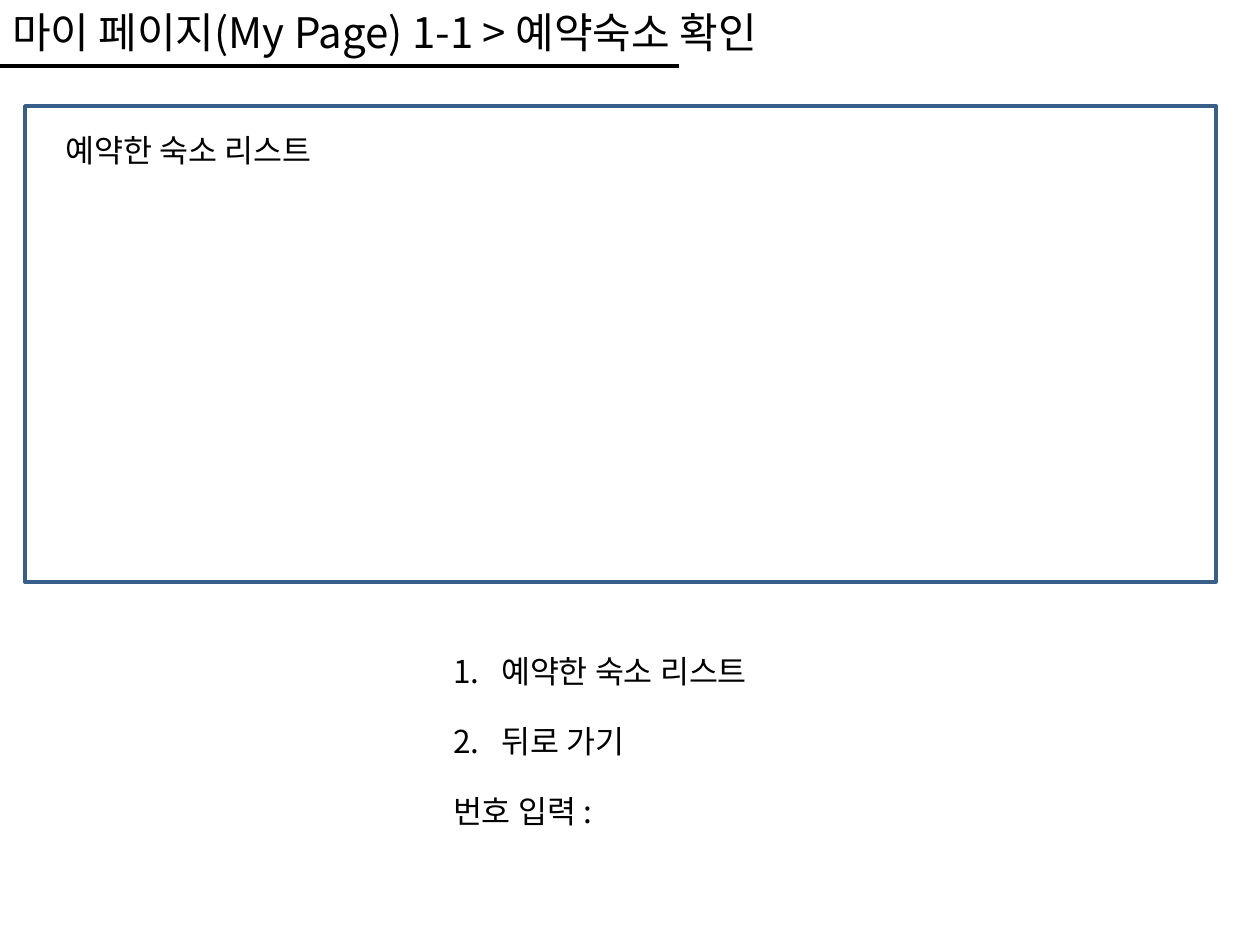
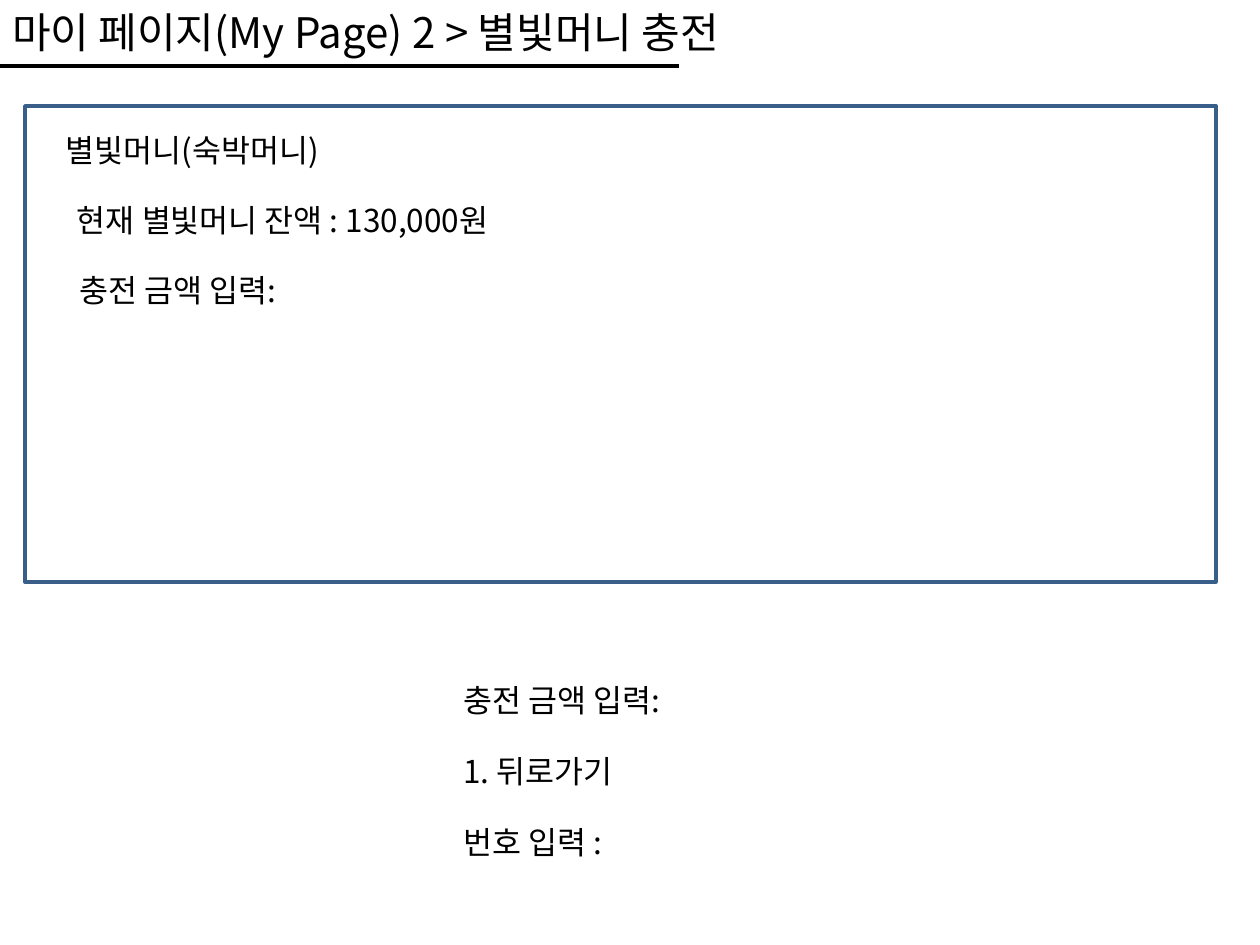
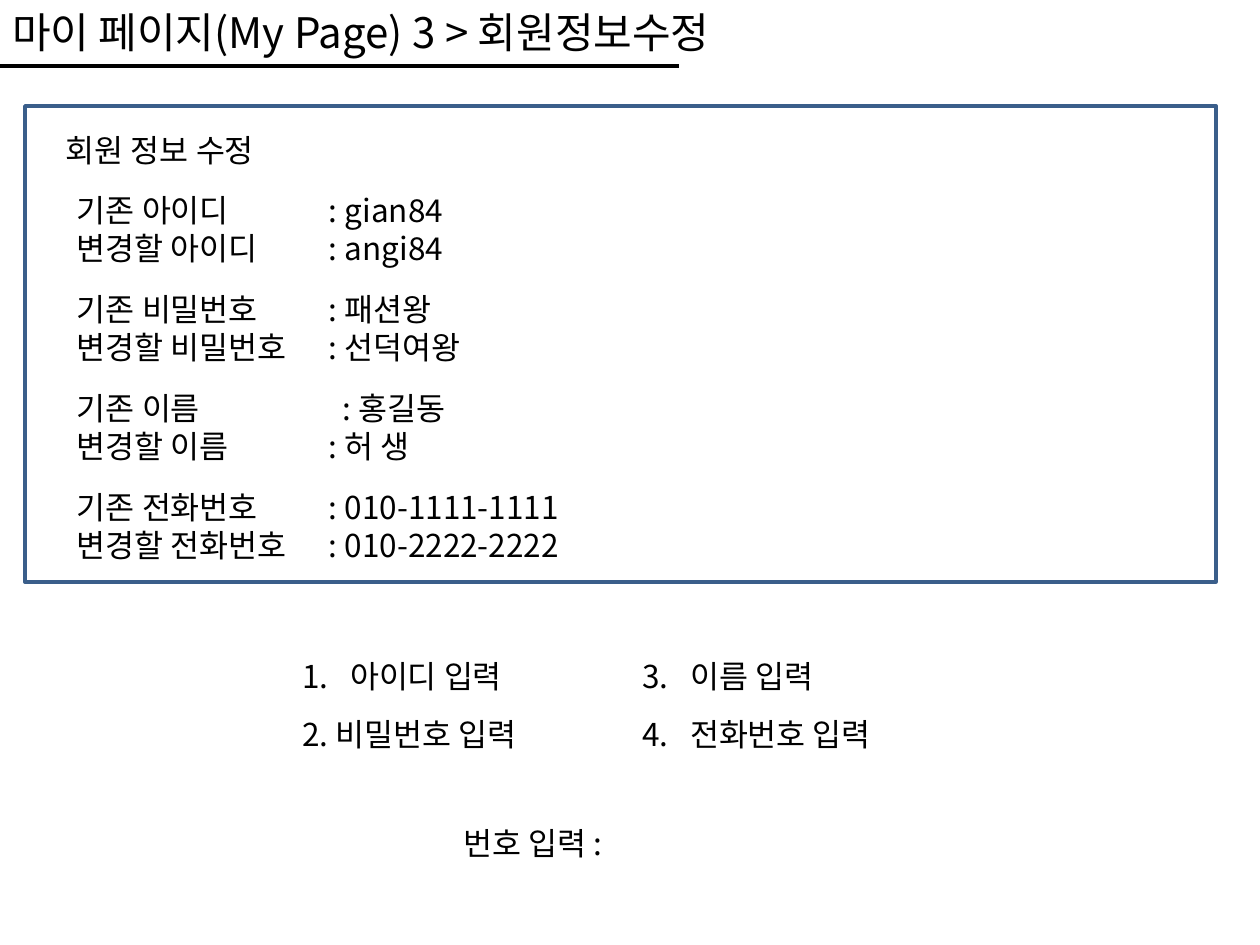
from lxml.etree import SubElement
from pptx import Presentation
from pptx.dml.color import RGBColor
from pptx.enum.shapes import MSO_CONNECTOR, MSO_SHAPE
from pptx.enum.text import MSO_ANCHOR, MSO_AUTO_SIZE, PP_ALIGN
from pptx.oxml.ns import qn
from pptx.util import Emu, Inches, Pt

BLACK = RGBColor(0x00, 0x00, 0x00)
FRAME_BLUE = RGBColor(0x3A, 0x5E, 0x8A)
FONT = "Noto Sans CJK KR"
TITLE_SIZE, BODY_SIZE = 24, 18
PX_PER_INCH = 126
INSET = 6
LINE_HEIGHT = 53
PAIR_HEIGHT = 95
HEADING_WIDTH, DETAIL_WIDTH, MENU_WIDTH = 464, 940, 344
NUMBER_INDENT = 48
DETAIL_LEFT = 71
VALUE_TAB = 252
TITLE_ONLY = 5


def px(length):
    return Emu(round(length * Inches(1) / PX_PER_INCH))


class PageBuilder:
    """Holds the shared style and the slide being built."""

    def __init__(self, presentation):
        self.presentation = presentation
        self.slide = None

    def start_page(self, title, heading):
        """Add a slide with its title, rule, frame and frame heading."""
        layout = self.presentation.slide_layouts[TITLE_ONLY]
        self.slide = self.presentation.slides.add_slide(layout)
        self.frame(25, 106, 1191, 476)
        self.rule(0, 66, 679)
        self.title(title)
        self.text(heading, 60, 125, HEADING_WIDTH)

    def frame(self, left, top, width, height):
        shape = self.slide.shapes.add_shape(
            MSO_SHAPE.RECTANGLE, px(left), px(top), px(width), px(height))
        shape.shadow.inherit = False
        shape.fill.background()
        shape.line.color.rgb = FRAME_BLUE
        shape.line.width = Pt(2)

    def rule(self, left, top, width):
        connector = self.slide.shapes.add_connector(
            MSO_CONNECTOR.STRAIGHT, px(left), px(top), px(left + width), px(top))
        connector.line.color.rgb = BLACK
        connector.line.width = Pt(1.75)
        SubElement(connector.element.spPr, qn("a:effectLst"))

    def title(self, text):
        shape = self.slide.shapes.title
        shape.left, shape.top, shape.width, shape.height = map(px, (6, 0, 994, 67))
        self.fill_text(shape.text_frame, [text], TITLE_SIZE)

    def text(self, text, left, top, width, height=LINE_HEIGHT):
        """Add a text box with one paragraph per line and return its paragraphs."""
        shape = self.slide.shapes.add_textbox(px(left), px(top), px(width), px(height))
        return self.fill_text(shape.text_frame, text.split("\n"), BODY_SIZE)

    def fill_text(self, frame, lines, size):
        frame_format = {
            "word_wrap": True,
            "auto_size": MSO_AUTO_SIZE.SHAPE_TO_FIT_TEXT,
            "vertical_anchor": MSO_ANCHOR.TOP,
            **{f"margin_{side}": px(INSET) for side in ("left", "top", "right", "bottom")},
        }
        for name, value in frame_format.items():
            setattr(frame, name, value)
        for index, line in enumerate(lines):
            paragraph = frame.add_paragraph() if index else frame.paragraphs[0]
            paragraph.alignment = PP_ALIGN.LEFT
            run = paragraph.add_run()
            run.text = line
            run.font.color.rgb = BLACK
            for name, value in {"name": FONT, "size": Pt(size)}.items():
                setattr(run.font, name, value)
            SubElement(run.font._element, qn("a:ea"), typeface=FONT)
        return frame.paragraphs

    def numbered(self, number, text, left, top):
        """Add a menu line with an automatic number and a hanging indent."""
        properties = self.text(text, left, top, MENU_WIDTH)[0]._p.get_or_add_pPr()
        indent = px(NUMBER_INDENT)
        properties.set("marL", str(indent))
        properties.set("indent", str(-indent))
        SubElement(properties, qn("a:buAutoNum"), type="arabicPeriod", startAt=str(number))

    def field_pair(self, field, old, new, top, old_tab=VALUE_TAB):
        """Add the present and the new value of a member field."""
        lines = f"기존 {field}\t: {old}\n변경할 {field}\t: {new}"
        paragraphs = self.text(lines, DETAIL_LEFT, top, DETAIL_WIDTH, PAIR_HEIGHT)
        for paragraph, tab in zip(paragraphs, (old_tab, VALUE_TAB)):
            tabs = SubElement(paragraph._p.get_or_add_pPr(), qn("a:tabLst"))
            SubElement(tabs, qn("a:tab"), pos=str(px(tab)), algn="l")


def add_booking_page(page):
    page.start_page("마이 페이지(My Page) 1-1 > 예약숙소 확인", "예약한 숙소 리스트")
    left, top, pitch = 447, 646, 70
    choices = ("예약한 숙소 리스트", "뒤로 가기")
    for index, choice in enumerate(choices):
        page.numbered(index + 1, choice, left, top + index * pitch)
    page.text("번호 입력 :", left, top + len(choices) * pitch, MENU_WIDTH)


def add_charge_page(page):
    page.start_page("마이 페이지(My Page) 2 > 별빛머니 충전", "별빛머니(숙박머니)")
    page.text("현재 별빛머니 잔액 : 130,000원", DETAIL_LEFT, 195, DETAIL_WIDTH)
    page.text("충전 금액 입력:", 73, 265, MENU_WIDTH)
    for index, line in enumerate(("충전 금액 입력:", "1. 뒤로가기", "번호 입력 :")):
        page.text(line, 457, 675 + index * 71, MENU_WIDTH)


def add_member_page(page):
    page.start_page("마이 페이지(My Page) 3 > 회원정보수정", "회원 정보 수정")
    fields = (
        ("아이디", "gian84", "angi84", VALUE_TAB),
        ("비밀번호", "패션왕", "선덕여왕", VALUE_TAB),
        ("이름", "홍길동", "허 생", 266),
        ("전화번호", "010-1111-1111", "010-2222-2222", VALUE_TAB),
    )
    for index, (field, old, new, old_tab) in enumerate(fields):
        page.field_pair(field, old, new, 185 + index * 99, old_tab)
    first_column, second_column = 296, 636
    first_row, second_row = 651, 709
    page.numbered(1, "아이디 입력", first_column, first_row)
    page.text("2. 비밀번호 입력", first_column, second_row, MENU_WIDTH)
    page.numbered(3, "이름 입력", second_column, first_row)
    page.numbered(4, "전화번호 입력", second_column, second_row)
    page.text("번호 입력 :", 457, 818, MENU_WIDTH)


def main():
    presentation = Presentation()
    presentation.slide_width, presentation.slide_height = Inches(10), Inches(7.5)
    page = PageBuilder(presentation)
    for add_page in (add_booking_page, add_charge_page, add_member_page):
        add_page(page)
    presentation.save("out.pptx")


if __name__ == "__main__":
    main()
